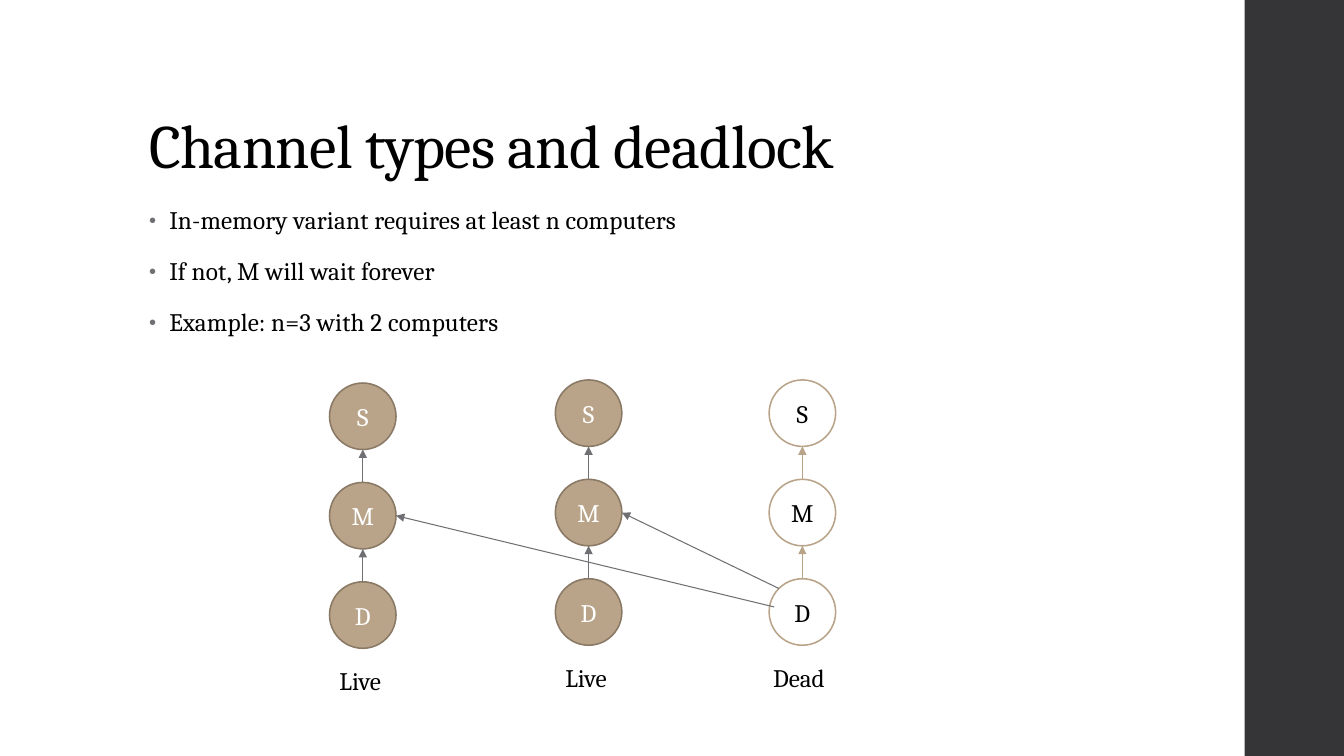
from dataclasses import dataclass
from math import sqrt

from lxml import etree
from pptx import Presentation
from pptx.dml.color import RGBColor
from pptx.enum.shapes import MSO_CONNECTOR, MSO_SHAPE
from pptx.enum.text import MSO_ANCHOR, MSO_AUTO_SIZE, PP_ALIGN
from pptx.oxml.ns import qn
from pptx.util import Pt

STRAIGHT = MSO_CONNECTOR.STRAIGHT
OVAL, RECTANGLE = MSO_SHAPE.OVAL, MSO_SHAPE.RECTANGLE
MIDDLE, BOTTOM = MSO_ANCHOR.MIDDLE, MSO_ANCHOR.BOTTOM
LEFT, CENTER = PP_ALIGN.LEFT, PP_ALIGN.CENTER
NO_AUTOFIT = MSO_AUTO_SIZE.NONE
TITLE_ONLY = 5


@dataclass(frozen=True)
class Theme:
    font: str = "Cambria"
    title_size: float = 44
    text_size: float = 18
    black: str = "000000"
    white: str = "FFFFFF"
    sidebar: str = "353537"
    tan: str = "B9A489"
    brown: str = "897965"
    gray: str = "6F6F74"
    outline: float = 1.1
    hairline: float = 0.75


THEME = Theme()
CIRCLE = 47.5
PITCH = 71
LIVE = {"fill": THEME.tan, "line": THEME.brown, "text": THEME.white,
        "arrow": THEME.gray, "arrow_width": THEME.hairline}
DEAD = {"fill": THEME.white, "line": THEME.tan, "text": THEME.black,
        "arrow": THEME.tan, "arrow_width": THEME.outline}
BULLETS = [
    "In-memory variant requires at least n computers",
    "If not, M will wait forever",
    "Example: n=3 with 2 computers",
]


def rgb(value):
    return RGBColor.from_string(value)


def write(para, text, color, size=THEME.text_size, spacing=0, **formats):
    """Add one run; spacing is the extra space between letters in points."""
    for name, value in formats.items():
        setattr(para, name, value)
    span = para.add_run()
    span.text = text
    for name, value in {"name": THEME.font, "size": Pt(size)}.items():
        setattr(span.font, name, value)
    span.font.color.rgb = rgb(color)
    if spacing:
        span.font._element.set("spc", str(round(spacing * 100)))


def add_bullet(para):
    properties = para._p.get_or_add_pPr()
    properties.set("marL", str(Pt(14.4)))
    properties.set("indent", str(Pt(-14.4)))
    color = etree.SubElement(properties, qn("a:buClr"))
    etree.SubElement(color, qn("a:srgbClr"), val=THEME.gray)
    etree.SubElement(properties, qn("a:buSzPct"), val="80000")
    etree.SubElement(properties, qn("a:buFont"), typeface="Arial")
    etree.SubElement(properties, qn("a:buChar"), char="•")


def add_box(page, left, top, width, height):
    box = page.shapes.add_textbox(Pt(left), Pt(top), Pt(width), Pt(height))
    box.text_frame.word_wrap = True
    return box.text_frame


def add_title(page, left, top, width, height, text):
    title = page.shapes.title
    place = {"left": left, "top": top, "width": width, "height": height}
    for name, value in place.items():
        setattr(title, name, Pt(value))
    frame = title.text_frame
    for name, value in {"vertical_anchor": BOTTOM, "auto_size": NO_AUTOFIT,
                        "word_wrap": True}.items():
        setattr(frame, name, value)
    write(frame.paragraphs[0], text, THEME.black, THEME.title_size, -0.5,
          alignment=LEFT, line_spacing=0.9)


def add_bullets(page, left, top, width, height):
    frame = add_box(page, left, top, width, height)
    for index, text in enumerate(BULLETS):
        para = frame.add_paragraph() if index else frame.paragraphs[0]
        add_bullet(para)
        write(para, text, THEME.black, spacing=0.1, line_spacing=0.95,
              space_before=Pt(14 if index else 0), space_after=Pt(2))


def add_sidebar(page, left, top, width, height):
    bar = page.shapes.add_shape(RECTANGLE, Pt(left), Pt(top), Pt(width), Pt(height))
    bar.shadow.inherit = False
    bar.fill.solid()
    bar.fill.fore_color.rgb = rgb(THEME.sidebar)
    bar.line.fill.background()


def add_arrow(page, start, end, color, width):
    arrow = page.shapes.add_connector(STRAIGHT, *map(Pt, start + end))
    arrow.line.color.rgb = rgb(color)
    arrow.line.width = Pt(width)
    outline = arrow._element.spPr.find(qn("a:ln"))
    etree.SubElement(outline, qn("a:tailEnd"), type="triangle")
    etree.SubElement(arrow._element.spPr, qn("a:effectLst"))


def add_node(page, left, top, letter, style):
    node = page.shapes.add_shape(OVAL, Pt(left), Pt(top), Pt(CIRCLE), Pt(CIRCLE))
    node.shadow.inherit = False
    node.fill.solid()
    node.fill.fore_color.rgb = rgb(style["fill"])
    node.line.color.rgb = rgb(style["line"])
    node.line.width = Pt(THEME.outline)
    frame = node.text_frame
    for side in ("left", "right", "top", "bottom"):
        setattr(frame, f"margin_{side}", 0)
    frame.vertical_anchor = MIDDLE
    write(frame.paragraphs[0], letter, style["text"], alignment=CENTER)


def add_pipeline(page, left, top, style, label, label_shift, label_width):
    """Stack S, M and D with upward arrows and a label underneath."""
    for row, letter in enumerate("SMD"):
        node_top = top + row * PITCH
        add_node(page, left, node_top, letter, style)
        if row:
            center = left + CIRCLE / 2
            add_arrow(page, (center, node_top), (center, node_top - PITCH + CIRCLE),
                      style["arrow"], style["arrow_width"])
    frame = add_box(page, left + label_shift, top + 198, label_width, 29)
    write(frame.paragraphs[0], label, THEME.black)


def add_diagram(page, left, top):
    """Draw three pipelines and the two arrows that leave the dead one."""
    first, second, dead = (left, top + 2.2), (left + 161.3, top), (left + 314, top)
    add_pipeline(page, *first, LIVE, "Live", 0, 56)
    add_pipeline(page, *second, LIVE, "Live", 0, 56)
    add_pipeline(page, *dead, DEAD, "Dead", -4.3, 63)

    radius = CIRCLE / 2
    center_x, center_y = dead[0] + radius, dead[1] + 2 * PITCH + radius
    diagonal = radius / sqrt(2)
    starts = [(center_x - diagonal, center_y - diagonal),
              (dead[0] + 3.6, center_y - 3.6)]
    for start, (column, column_top) in zip(starts, (second, first)):
        end = (column + CIRCLE, column_top + PITCH + radius)
        add_arrow(page, start, end, THEME.gray, THEME.hairline)


def main():
    deck = Presentation()
    deck.slide_width, deck.slide_height = Pt(960), Pt(540)
    page = deck.slides.add_slide(deck.slide_layouts[TITLE_ONLY])
    add_sidebar(page, 889, 0, 71, 540)
    add_title(page, 99.4, 28.8, 763, 104.4, "Channel types and deadlock")
    add_bullets(page, 99.4, 144, 677, 343)
    add_diagram(page, 235.4, 271.4)
    deck.save("out.pptx")


if __name__ == "__main__":
    main()
